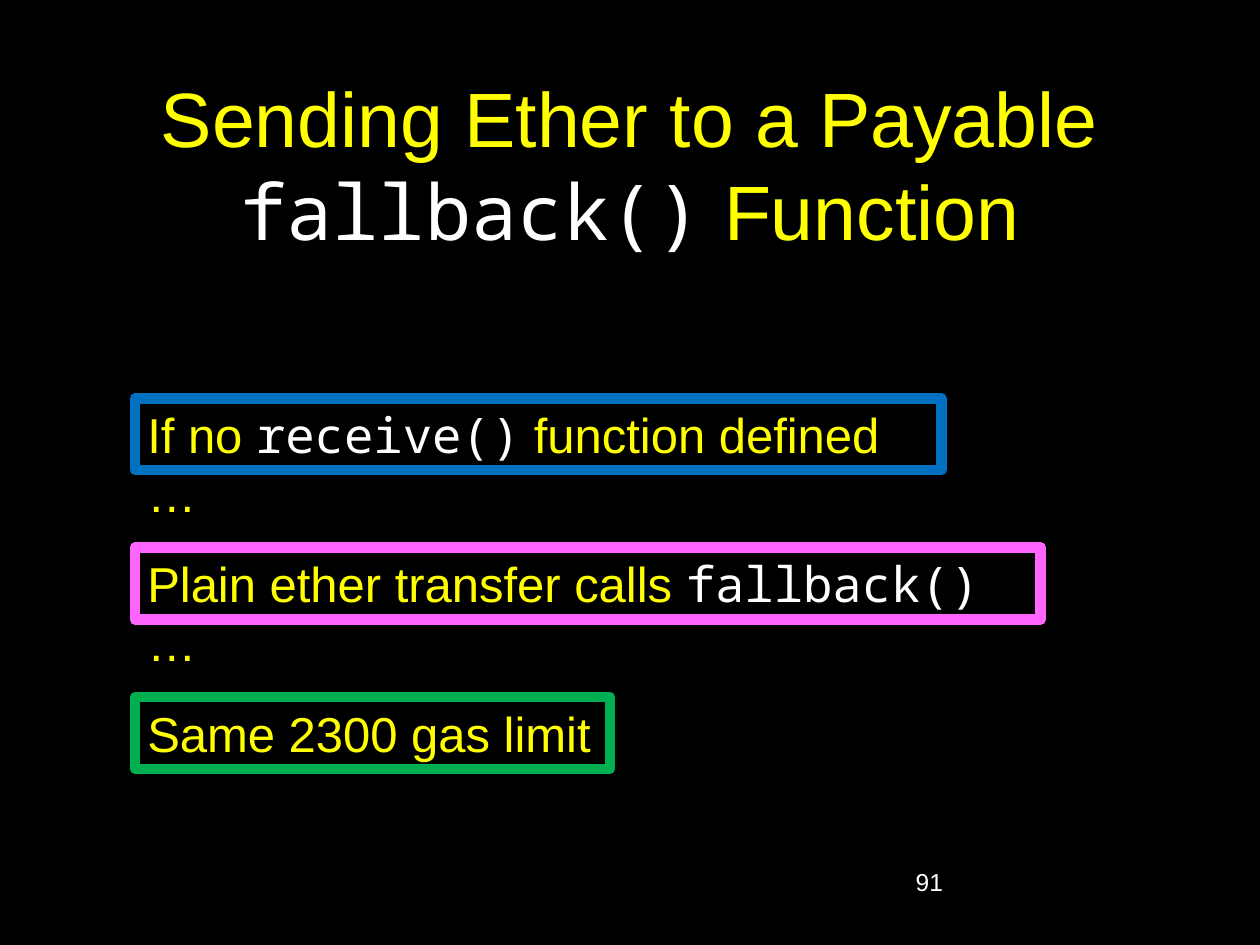
from pptx import Presentation
from pptx.dml.color import RGBColor
from pptx.enum.shapes import MSO_SHAPE
from pptx.enum.text import MSO_ANCHOR, PP_ALIGN
from pptx.util import Cm, Pt

BLACK, YELLOW, WHITE = "000000", "FFFF00", "FFFFFF"
PROSE = ("Arial", YELLOW)
CODE = ("Noto Sans Mono", WHITE)
NUMBER = ("Arial", WHITE)

TITLE = [("Sending Ether to a Payable ", PROSE), ("fallback()", CODE), (" Function", PROSE)]
PAGE = [("91", NUMBER)]
# (width in cm, border colour, runs)
NOTES = [
    (16.26, "0070C0", [("If no ", PROSE), ("receive()", CODE), (" function defined …", PROSE)]),
    (18.26, "FF66FF", [("Plain ether transfer calls ", PROSE), ("fallback()", CODE), (" …", PROSE)]),
    (9.58, "00B050", [("Same 2300 gas limit", PROSE)]),
]
NOTE_LEFT, NOTE_TOP, NOTE_HEIGHT, NOTE_PITCH = 2.72, 8.03, 1.45, 3.01


def color(value):
    return RGBColor.from_string(value)


def write(shape, runs, size, align=PP_ALIGN.LEFT, anchor=MSO_ANCHOR.TOP):
    frame = shape.text_frame
    frame.word_wrap = True
    frame.vertical_anchor = anchor
    paragraph = frame.paragraphs[0]
    paragraph.alignment = align
    for words, (font_name, font_color) in runs:
        run = paragraph.add_run()
        run.text = words
        run.font.name = font_name
        run.font.size = Pt(size)
        run.font.color.rgb = color(font_color)


def add_note(slide, top, width, border, runs):
    note = slide.shapes.add_shape(
        MSO_SHAPE.RECTANGLE, Cm(NOTE_LEFT), Cm(top), Cm(width), Cm(NOTE_HEIGHT))
    note.shadow.inherit = False
    note.fill.solid()
    note.fill.fore_color.rgb = color(BLACK)
    note.line.color.rgb = color(border)
    note.line.width = Pt(6)
    write(note, runs, 28)


def main():
    deck = Presentation()
    deck.slide_width, deck.slide_height = Cm(25.4), Cm(19.05)
    slide = deck.slides.add_slide(deck.slide_layouts[6])
    slide.background.fill.solid()
    slide.background.fill.fore_color.rgb = color(BLACK)

    title = slide.shapes.add_textbox(Cm(1.9), Cm(1.7), Cm(21.6), Cm(3.18))
    write(title, TITLE, 44, PP_ALIGN.CENTER, MSO_ANCHOR.MIDDLE)
    page = slide.shapes.add_textbox(Cm(18.21), Cm(17.35), Cm(5.28), Cm(1.27))
    write(page, PAGE, 14)
    for index, (width, border, runs) in enumerate(NOTES):
        add_note(slide, NOTE_TOP + index * NOTE_PITCH, width, border, runs)

    deck.save("out.pptx")


if __name__ == "__main__":
    main()
